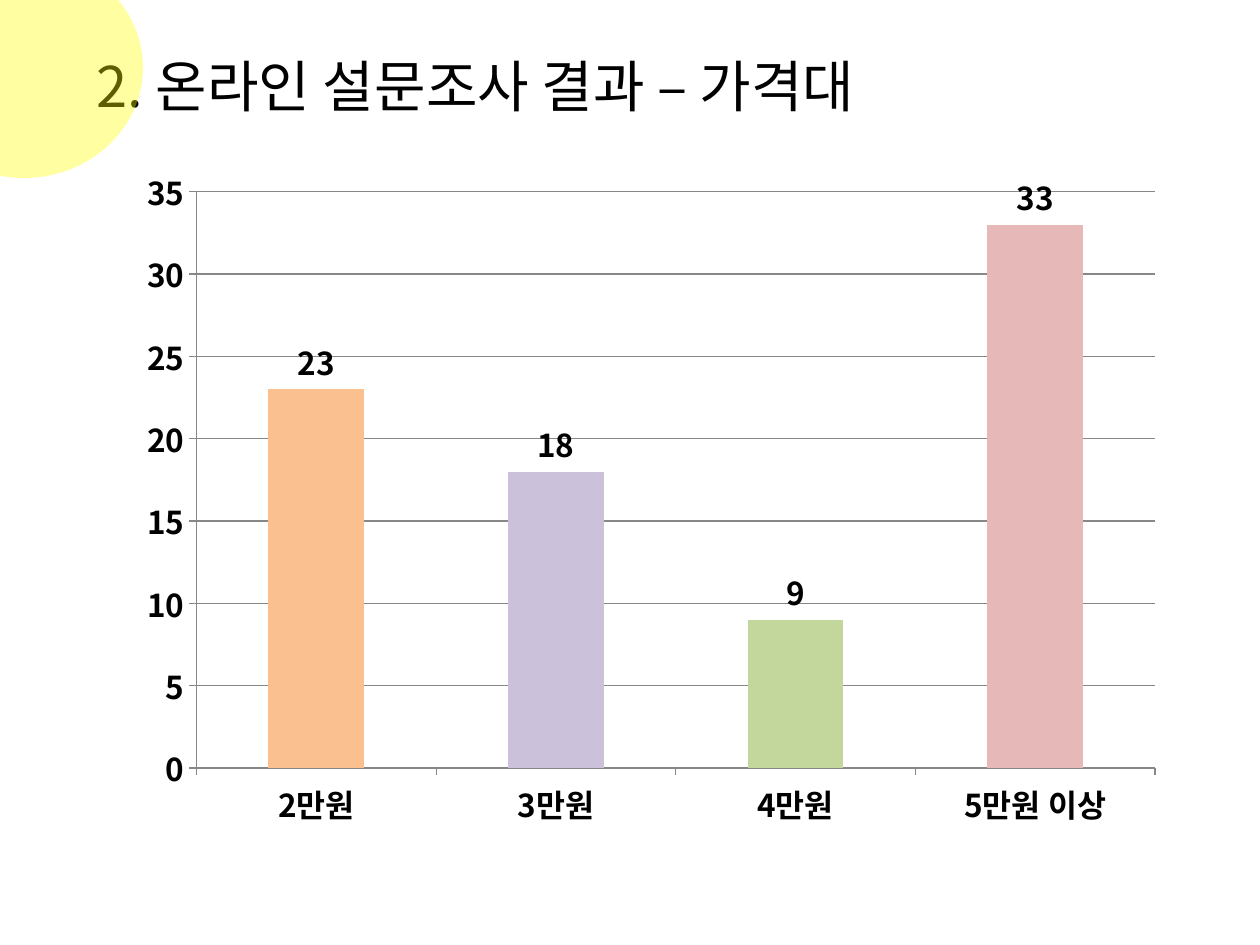
from dataclasses import dataclass

from lxml import etree
from pptx import Presentation
from pptx.chart.data import CategoryChartData
from pptx.dml.color import RGBColor
from pptx.enum.chart import XL_CHART_TYPE, XL_LABEL_POSITION, XL_TICK_MARK
from pptx.enum.shapes import MSO_SHAPE
from pptx.enum.text import MSO_ANCHOR, MSO_AUTO_SIZE, PP_ALIGN
from pptx.oxml.ns import qn
from pptx.util import Emu, Pt

COLUMN = XL_CHART_TYPE.COLUMN_CLUSTERED
ABOVE = XL_LABEL_POSITION.OUTSIDE_END
OUT = XL_TICK_MARK.OUTSIDE
OVAL = MSO_SHAPE.OVAL
MIDDLE = MSO_ANCHOR.MIDDLE
GROW = MSO_AUTO_SIZE.SHAPE_TO_FIT_TEXT
LEFT = PP_ALIGN.LEFT
PX = 914400 / 126


@dataclass(frozen=True)
class Theme:
    face: str = "Noto Sans CJK KR"
    ink: str = "000000"
    line: str = "878787"
    spot: str = "FFFF00"
    spot_alpha: int = 37
    title: int = 32
    label: int = 18


@dataclass(frozen=True)
class Box:
    left: int
    top: int
    width: int
    height: int

    def emu(self) -> tuple[Emu, ...]:
        sides = (self.left, self.top, self.width, self.height)
        return tuple(px(side) for side in sides)


@dataclass(frozen=True)
class Bar:
    price: str
    votes: int
    color: str


THEME = Theme()
BARS = (
    Bar("2만원", 23, "FAC090"),
    Bar("3만원", 18, "CCC1DA"),
    Bar("4만원", 9, "C3D69B"),
    Bar("5만원 이상", 33, "E6B9B8"),
)


def px(count: int) -> Emu:
    return Emu(round(count * PX))


def rgb(code: str) -> RGBColor:
    return RGBColor.from_string(code)


def style(font, size: int, bold: bool) -> None:
    """Set size, weight, ink and the face for Latin and Korean text."""
    font.size = Pt(size)
    font.bold = bold
    font.color.rgb = rgb(THEME.ink)
    font.name = THEME.face
    latin = font._element.find(qn("a:latin")) if hasattr(font, "_element") else font._rPr.find(qn("a:latin"))
    korean = etree.Element(qn("a:ea"), typeface=THEME.face)
    latin.addnext(korean)


def add_title(slide, box: Box, text: str) -> None:
    title = slide.shapes.title
    title.left, title.top, title.width, title.height = box.emu()
    frame = title.text_frame
    frame.text = text
    frame.word_wrap = True
    frame.auto_size = GROW
    frame.vertical_anchor = MIDDLE
    para = frame.paragraphs[0]
    para.alignment = LEFT
    style(para.font, THEME.title, False)


def add_spot(slide, box: Box) -> None:
    spot = slide.shapes.add_shape(OVAL, *box.emu())
    spot.shadow.inherit = False
    spot.line.fill.background()
    spot.fill.solid()
    spot.fill.fore_color.rgb = rgb(THEME.spot)
    color = spot._element.spPr.find(qn("a:solidFill"))[0]
    etree.SubElement(color, qn("a:alpha"), val=str(THEME.spot_alpha * 1000))


def add_chart(slide, box: Box, bars: tuple[Bar, ...]) -> None:
    data = CategoryChartData()
    data.categories = [bar.price for bar in bars]
    data.add_series("Series 1", [bar.votes for bar in bars])
    chart = slide.shapes.add_chart(COLUMN, *box.emu(), data).chart
    chart.has_legend = False
    chart.has_title = False
    style(chart.font, THEME.label, False)

    for axis in (chart.category_axis, chart.value_axis):
        axis.major_tick_mark = OUT
        axis.format.line.color.rgb = rgb(THEME.line)
        style(axis.tick_labels.font, THEME.label, True)
    scale = chart.value_axis
    scale.minimum_scale, scale.maximum_scale, scale.major_unit = 0, 35, 5
    scale.major_gridlines.format.line.color.rgb = rgb(THEME.line)

    plot = chart.plots[0]
    plot.gap_width = 150
    plot.vary_by_categories = False
    plot.has_data_labels = True
    labels = plot.data_labels
    labels.show_value = True
    labels.position = ABOVE
    style(labels.font, THEME.label, True)
    for index, bar in enumerate(bars):
        fill = plot.series[0].points[index].format.fill
        fill.solid()
        fill.fore_color.rgb = rgb(bar.color)


def main() -> None:
    deck = Presentation()
    deck.slide_width, deck.slide_height = px(1260), px(945)
    slide = deck.slides.add_slide(deck.slide_layouts[5])
    add_title(slide, Box(84, 45, 1091, 81), "2. 온라인 설문조사 결과 – 가격대")
    add_spot(slide, Box(-95, -43, 238, 221))
    add_chart(slide, Box(126, 155, 1050, 685), BARS)
    deck.save("out.pptx")


if __name__ == "__main__":
    main()
